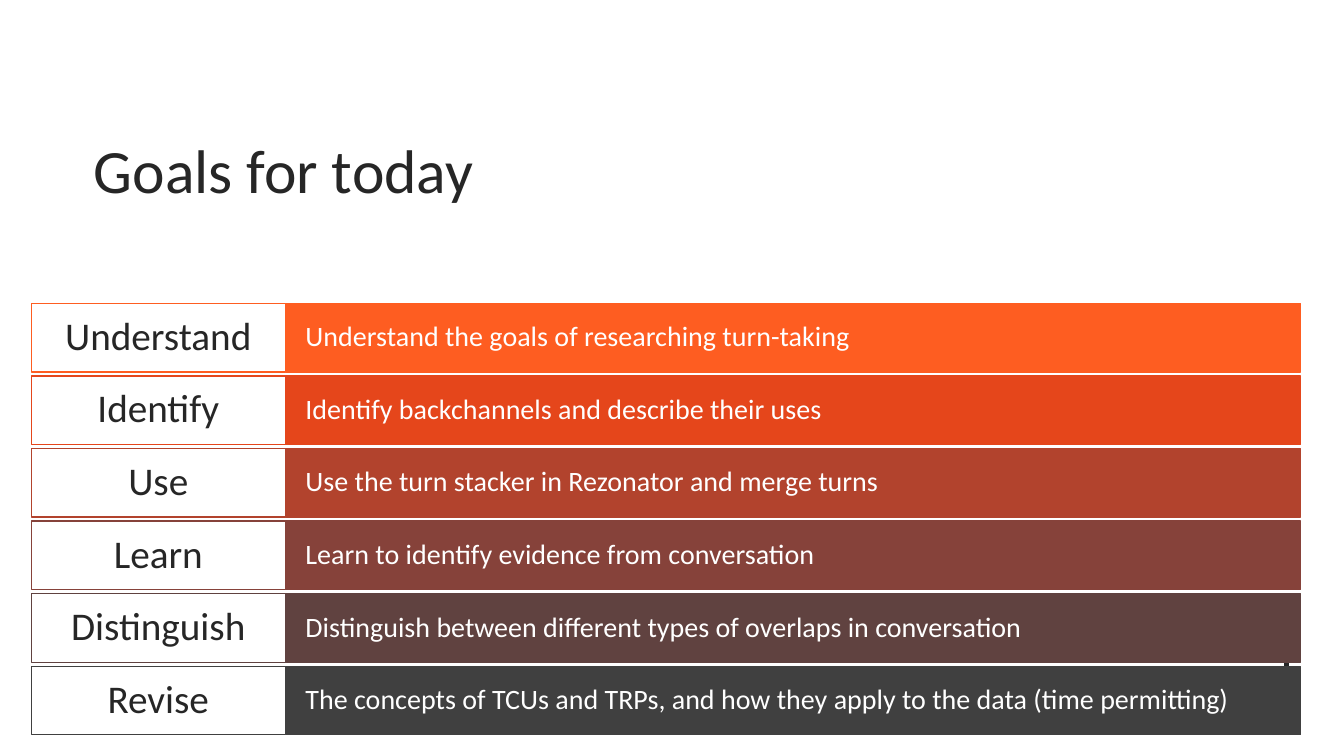
from dataclasses import dataclass

from lxml import etree
from pptx import Presentation
from pptx.dml.color import RGBColor
from pptx.enum import shapes, text
from pptx.oxml.ns import qn
from pptx.util import Inches, Pt

TITLE = "Goals for today"
GOALS = [  # verb, goal, row colour
    ("Understand", "Understand the goals of researching turn-taking", "FE5D21"),
    ("Identify", "Identify backchannels and describe their uses", "E5461B"),
    ("Use", "Use the turn stacker in Rezonator and merge turns", "B2432D"),
    ("Learn", "Learn to identify evidence from conversation", "86423A"),
    ("Distinguish", "Distinguish between different types of overlaps in conversation", "604240"),
    ("Revise", "The concepts of TCUs and TRPs, and how they apply to the data (time permitting)", "404040"),
]


@dataclass(frozen=True)
class Theme:
    font: str = "Calibri"
    dark: str = "262626"
    white: str = "FFFFFF"
    title_size: int = 44
    verb_size: int = 28
    goal_size: int = 20


THEME = Theme()
LEFT, TOP = 0.31, 3.01
VERB_W, GOAL_W = 2.52, 10.07
ROW_H, ROW_STEP = 0.68, 0.72


def write(tf, words, size, color, align):
    tf.word_wrap = True
    tf.vertical_anchor = text.MSO_ANCHOR.MIDDLE
    p = tf.paragraphs[0]
    p.alignment = align
    p.line_spacing = 0.9
    r = p.add_run()
    r.text = words
    r.font.name = THEME.font
    r.font.size = Pt(size)
    r.font.color.rgb = RGBColor.from_string(color)


def add_cell(s, left, top, width, fill, line, insets):
    """Add an outlined box and return its text frame."""
    sp = s.shapes.add_shape(shapes.MSO_SHAPE.RECTANGLE, Inches(left), Inches(top),
                            Inches(width), Inches(ROW_H))
    sp.shadow.inherit = False
    sp.fill.solid()
    sp.fill.fore_color.rgb = RGBColor.from_string(fill)
    sp.line.color.rgb = RGBColor.from_string(line)
    sp.line.width = Pt(1)
    tf = sp.text_frame
    side, edge = insets
    tf.margin_left = tf.margin_right = Inches(side)
    tf.margin_top = tf.margin_bottom = Inches(edge)
    return tf


def add_title(s):
    title = s.shapes.title
    title.left, title.top = Inches(0.83), Inches(0.94)
    title.width, title.height = Inches(10.49), Inches(1.57)
    write(title.text_frame, TITLE, THEME.title_size, THEME.dark, text.PP_ALIGN.LEFT)


def add_accent_line(s):
    x = Inches(12.76)
    line = s.shapes.add_connector(shapes.MSO_CONNECTOR.STRAIGHT, x, Inches(6.17), x, Inches(6.82))
    line.line.color.rgb = RGBColor.from_string(THEME.dark)
    line.line.width = Pt(3)
    etree.SubElement(line._element.spPr, qn("a:effectLst"))


def add_goals(s):
    for i, (verb, goal, color) in enumerate(GOALS):
        top = TOP + i * ROW_STEP
        tf = add_cell(s, LEFT + VERB_W, top, GOAL_W, color, color, (0.2, 0.17))
        write(tf, goal, THEME.goal_size, THEME.white, text.PP_ALIGN.LEFT)
        tf = add_cell(s, LEFT, top, VERB_W, THEME.white, color, (0.13, 0.07))
        write(tf, verb, THEME.verb_size, THEME.dark, text.PP_ALIGN.CENTER)


def main():
    prs = Presentation()
    prs.slide_width, prs.slide_height = Inches(13.33), Inches(7.5)
    s = prs.slides.add_slide(prs.slide_layouts[5])
    add_title(s)
    add_accent_line(s)
    add_goals(s)
    prs.save("out.pptx")


if __name__ == "__main__":
    main()
